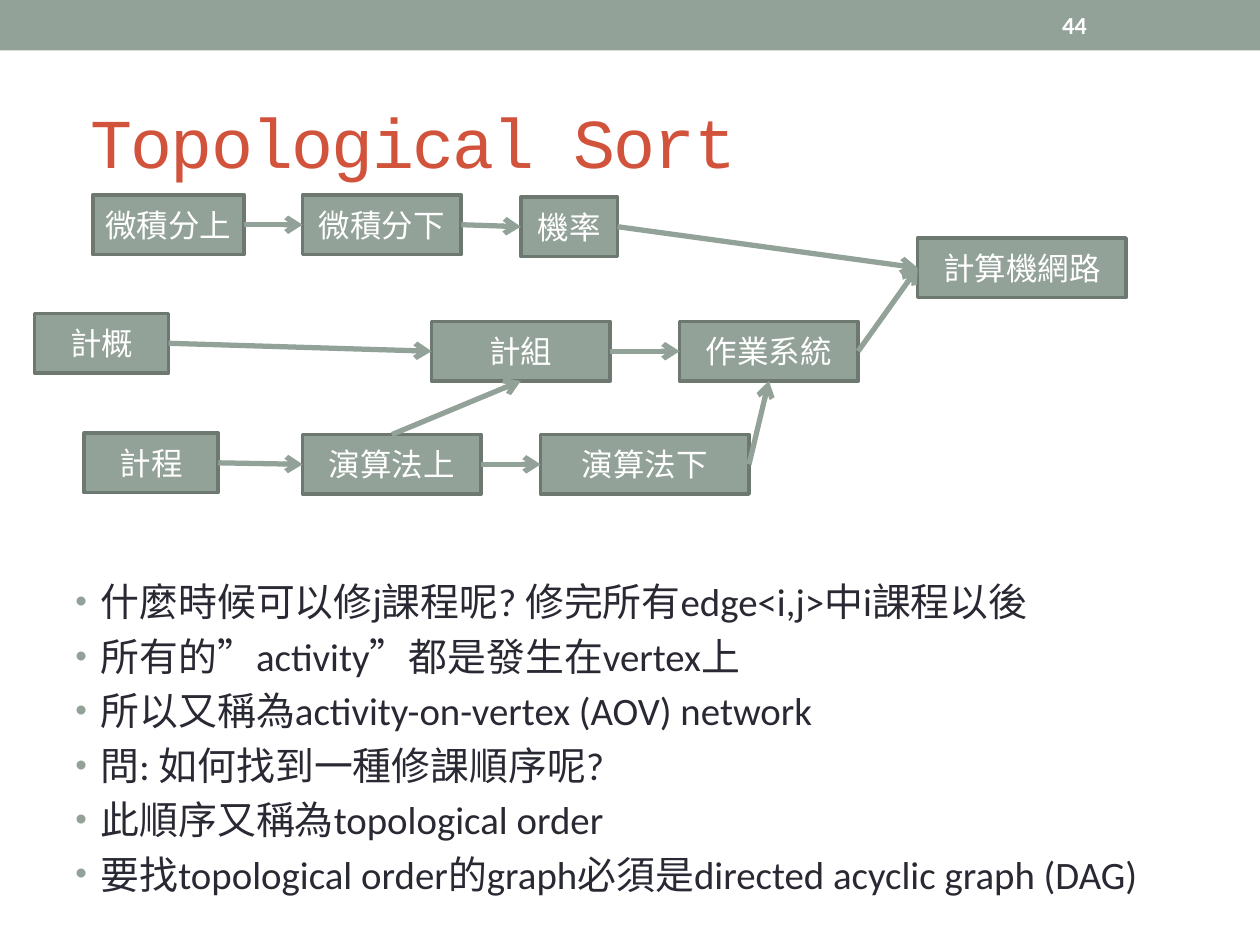
from dataclasses import dataclass

from lxml.etree import SubElement
from pptx import Presentation
from pptx.dml.color import RGBColor
from pptx.enum.shapes import MSO_CONNECTOR, MSO_SHAPE
from pptx.enum.text import MSO_ANCHOR, PP_ALIGN
from pptx.oxml.ns import qn
from pptx.util import Cm, Pt

COLORS = {
    "sage": "93A299",
    "outline": "6D7871",
    "title": "D2533C",
    "body": "292934",
    "white": "FFFFFF",
}
BOX_HEIGHT = 1.2
TOP, LEFT, BOTTOM, RIGHT = range(4)


@dataclass
class Course:
    name: str
    left: float
    top: float
    width: float


@dataclass
class Prerequisite:
    before: str
    after: str
    start_side: int = RIGHT
    end_side: int = LEFT


COURSES = [
    Course("計程", 1.7, 8.73, 2.7),
    Course("演算法上", 6.1, 8.76, 3.6),
    Course("演算法下", 10.9, 8.76, 4.2),
    Course("計概", 0.7, 6.32, 2.7),
    Course("作業系統", 13.7, 6.48, 3.6),
    Course("計算機網路", 18.5, 4.8, 4.2),
    Course("機率", 10.5, 3.97, 1.95),
    Course("微積分上", 1.87, 3.93, 3.05),
    Course("微積分下", 6.1, 3.93, 3.2),
    Course("計組", 8.7, 6.48, 3.6),
]

PREREQUISITES = [
    Prerequisite("微積分上", "微積分下"),
    Prerequisite("微積分下", "機率"),
    Prerequisite("機率", "計算機網路"),
    Prerequisite("作業系統", "計算機網路"),
    Prerequisite("計概", "計組"),
    Prerequisite("計程", "演算法上"),
    Prerequisite("演算法上", "計組", TOP, BOTTOM),
    Prerequisite("計組", "作業系統"),
    Prerequisite("演算法上", "演算法下"),
    Prerequisite("演算法下", "作業系統", RIGHT, BOTTOM),
]

BULLETS = [
    "什麼時候可以修j課程呢? 修完所有edge<i,j>中i課程以後",
    "所有的”activity”都是發生在vertex上",
    "所以又稱為activity-on-vertex (AOV) network",
    "問: 如何找到一種修課順序呢?",
    "此順序又稱為topological order",
    "要找topological order的graph必須是directed acyclic graph (DAG)",
]


def color(name: str) -> RGBColor:
    return RGBColor.from_string(COLORS[name])


def write(paragraph, text: str, *, size: float, color_name: str,
          font: str = "Calibri", bold: bool = False, align=PP_ALIGN.LEFT):
    """Add text to a paragraph and return the new run."""
    paragraph.alignment = align
    run = paragraph.add_run()
    run.text = text
    run.font.name = font
    run.font.size = Pt(size)
    run.font.bold = bold
    run.font.color.rgb = color(color_name)
    return run


def add_rectangle(slide, left: float, top: float, width: float, height: float):
    shape = slide.shapes.add_shape(
        MSO_SHAPE.RECTANGLE, Cm(left), Cm(top), Cm(width), Cm(height))
    shape.shadow.inherit = False
    shape.fill.solid()
    shape.fill.fore_color.rgb = color("sage")
    return shape


def add_text_frame(slide, left: float, top: float, width: float, height: float):
    text_box = slide.shapes.add_textbox(Cm(left), Cm(top), Cm(width), Cm(height))
    text_box.text_frame.word_wrap = True
    return text_box.text_frame


def add_title(slide, text: str) -> None:
    title = slide.shapes.title
    title.left, title.top, title.width, title.height = map(Cm, (1.57, 1.47, 22.86, 2.74))
    title.text_frame.vertical_anchor = MSO_ANCHOR.MIDDLE
    run = write(title.text_frame.paragraphs[0], text,
                size=40, color_name="title", font="Courier New")
    run.font._element.set("spc", "-100")


def add_course(slide, course: Course):
    shape = add_rectangle(slide, course.left, course.top, course.width, BOX_HEIGHT)
    shape.line.color.rgb = color("outline")
    shape.line.width = Pt(2.08)
    frame = shape.text_frame
    frame.word_wrap = False
    frame.vertical_anchor = MSO_ANCHOR.MIDDLE
    write(frame.paragraphs[0], course.name,
          size=18, color_name="white", align=PP_ALIGN.CENTER)
    return shape


def add_arrow(slide, link: Prerequisite, boxes: dict) -> None:
    connector = slide.shapes.add_connector(MSO_CONNECTOR.STRAIGHT, 0, 0, 0, 0)
    connector.begin_connect(boxes[link.before], link.start_side)
    connector.end_connect(boxes[link.after], link.end_side)
    connector.line.color.rgb = color("sage")
    connector.line.width = Pt(3)
    properties = connector._element.spPr
    SubElement(properties.find(qn("a:ln")), qn("a:tailEnd"), type="arrow")
    SubElement(properties, qn("a:effectLst"))


def add_bullet(paragraph, text: str) -> None:
    write(paragraph, text, size=22.2, color_name="body")
    properties = paragraph._p.get_or_add_pPr()
    properties.set("marL", str(Cm(0.51)))
    properties.set("indent", str(-Cm(0.51)))
    spacing = SubElement(properties, qn("a:spcBef"))
    SubElement(spacing, qn("a:spcPct"), val="20000")
    bullet_color = SubElement(properties, qn("a:buClr"))
    SubElement(bullet_color, qn("a:srgbClr"), val=COLORS["sage"])
    SubElement(properties, qn("a:buSzPct"), val="85000")
    SubElement(properties, qn("a:buFont"), typeface="Arial")
    SubElement(properties, qn("a:buChar"), char="•")


def main() -> None:
    presentation = Presentation()
    presentation.slide_width, presentation.slide_height = Cm(25.4), Cm(19.05)
    slide = presentation.slides.add_slide(presentation.slide_layouts[5])

    band = add_rectangle(slide, 0, 0, 25.4, 1.02)
    band.line.fill.background()
    add_title(slide, "Topological Sort")

    body = add_text_frame(slide, 1.27, 11.53, 22.86, 6.48)
    for index, text in enumerate(BULLETS):
        add_bullet(body.add_paragraph() if index else body.paragraphs[0], text)

    number = add_text_frame(slide, 21.16, 0.05, 2.97, 0.91)
    number.vertical_anchor = MSO_ANCHOR.MIDDLE
    write(number.paragraphs[0], "44", size=14, color_name="white", bold=True)

    boxes = {course.name: add_course(slide, course) for course in COURSES}
    for link in PREREQUISITES:
        add_arrow(slide, link, boxes)

    presentation.save("out.pptx")


if __name__ == "__main__":
    main()
